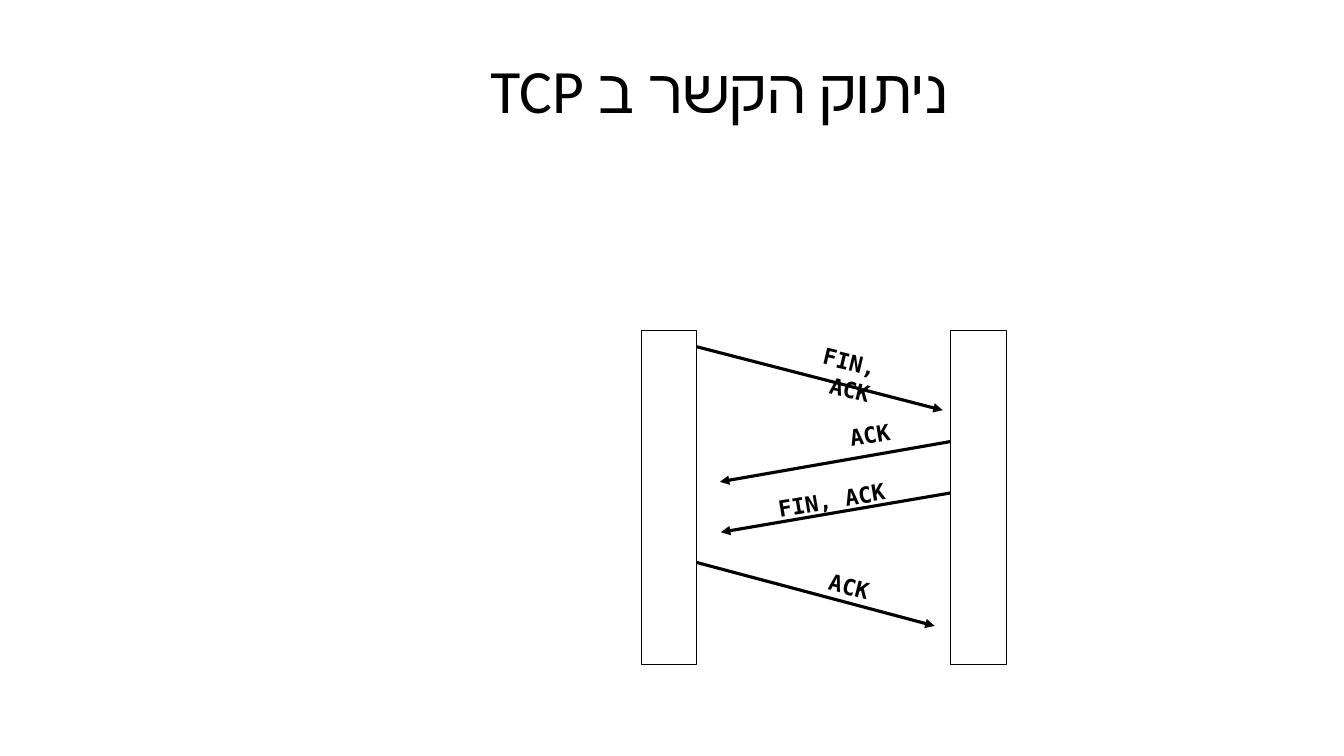
from lxml import etree
from pptx import Presentation, util as u
from pptx.dml.color import RGBColor
from pptx.enum import shapes, text
from pptx.oxml.ns import qn


def rgb(value):
    return RGBColor.from_string(value)


class Sketch:
    PX = 9144
    INK = "000000"
    TITLE_FONT = "Calibri"
    LABEL_FONT = "DejaVu Sans Mono"

    def __init__(self, slide):
        self.s = slide

    def px(self, *lengths):
        return [u.Emu(n * self.PX) for n in lengths]

    def words(self, box, content, font, size, bold=False):
        sp = self.s.shapes.add_textbox(*self.px(*box))
        tf = sp.text_frame
        tf.word_wrap = True
        p = tf.paragraphs[0]
        r = p.add_run()
        r.text = content
        p.alignment = text.PP_ALIGN.RIGHT
        p._p.get_or_add_pPr().set("rtl", "1")
        p.font.name = r.font.name = font
        p.font.size = r.font.size = u.Pt(size)
        p.font.bold = r.font.bold = bold
        p.font.color.rgb = r.font.color.rgb = rgb(self.INK)
        etree.SubElement(r._r.get_or_add_rPr(), qn("a:cs"), typeface=font)
        return sp

    def title(self, box, content):
        tf = self.words(box, content, self.TITLE_FONT, 44).text_frame
        tf.vertical_anchor = text.MSO_ANCHOR.MIDDLE
        tf.paragraphs[0].line_spacing = 0.9

    def label(self, box, content, angle):
        sp = self.words(box, content, self.LABEL_FONT, 16, bold=True)
        sp.text_frame.auto_size = text.MSO_AUTO_SIZE.SHAPE_TO_FIT_TEXT
        sp.rotation = angle

    def bar(self, box):
        sp = self.s.shapes.add_shape(shapes.MSO_SHAPE.RECTANGLE, *self.px(*box))
        sp.shadow.inherit = False
        sp.fill.background()
        sp.line.color.rgb = rgb(self.INK)
        sp.line.width = u.Pt(0.75)

    def arrow(self, start, end):
        sp = self.s.shapes.add_connector(
            shapes.MSO_CONNECTOR.STRAIGHT, *self.px(*start, *end))
        sp.line.color.rgb = rgb(self.INK)
        sp.line.width = u.Pt(2.25)
        etree.SubElement(sp.line._get_or_add_ln(), qn("a:tailEnd"), type="triangle")
        etree.SubElement(sp._element.spPr, qn("a:effectLst"))


def main():
    prs = Presentation()
    prs.slide_width, prs.slide_height = u.Inches(13.33), u.Inches(7.5)
    sketch = Sketch(prs.slides.add_slide(prs.slide_layouts[6]))

    sketch.title((50, 30, 900, 125), "ניתוק הקשר ב TCP")

    bar_top, bar_width, bar_height = 328, 55, 331
    client_left, server_left = 636, 943
    for left in (client_left, server_left):
        sketch.bar((left, bar_top, bar_width, bar_height))

    client_edge = client_left + bar_width
    messages = [
        ((client_edge, 344), (935, 407), "FIN, ACK", (760, 335, 120, 37), 13.6),
        ((server_left, 438), (714, 478), "ACK", (761, 419, 132, 37), 350.4),
        ((server_left, 489), (715, 528), "FIN, ACK", (756, 478, 132, 37), 350.4),
        ((client_edge, 558), (927, 621), "ACK", (754, 556, 119, 37), 14.3),
    ]
    for start, end, content, box, angle in messages:
        sketch.arrow(start, end)
        sketch.label(box, content, angle)

    prs.save("out.pptx")


if __name__ == "__main__":
    main()
